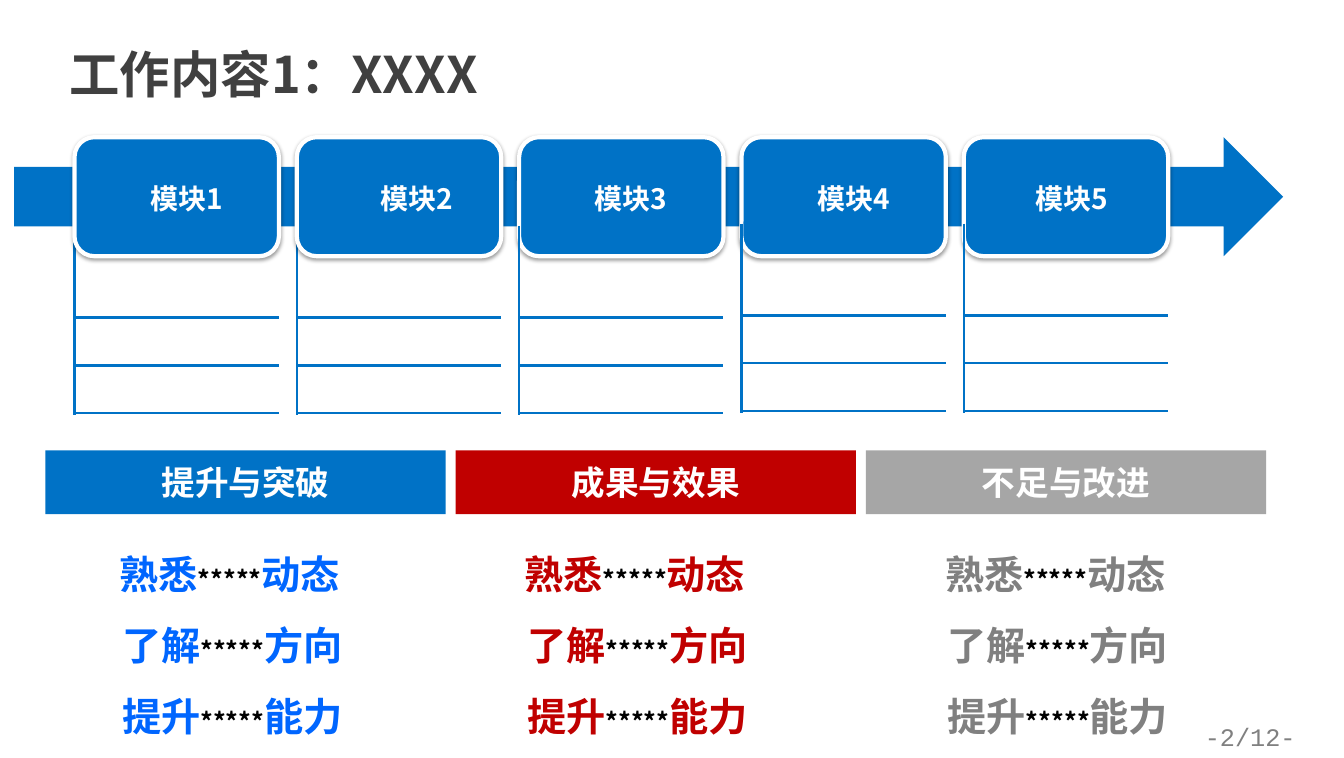
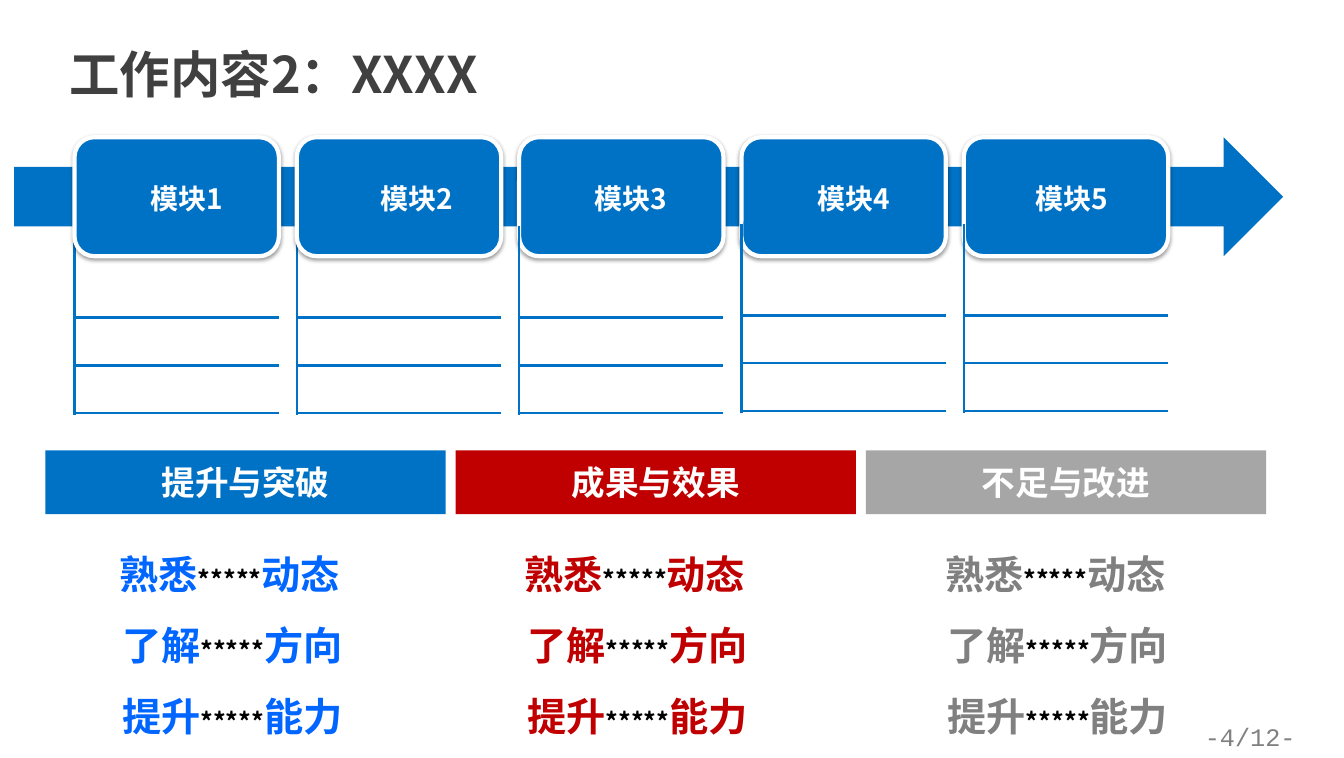
import pptx
import pptx.util
import pptx.dml.color
import pptx.enum.shapes
import pptx.enum.text
import pptx.oxml
import pptx.oxml.ns
import lxml.etree

Pt = pptx.util.Pt
RGB = pptx.dml.color.RGBColor
SHAPE = pptx.enum.shapes.MSO_SHAPE
ALIGN = pptx.enum.text.PP_ALIGN
ANCHOR = pptx.enum.text.MSO_ANCHOR
qn = pptx.oxml.ns.qn

BLUE = RGB(0x00, 0x72, 0xC6)
AZURE = RGB(0x00, 0x66, 0xFF)
RED = RGB(0xC0, 0x00, 0x00)
SILVER = RGB(0xA6, 0xA6, 0xA6)
GREY = RGB(0x80, 0x80, 0x80)
DARK = RGB(0x40, 0x40, 0x40)
BLACK = RGB(0x00, 0x00, 0x00)
WHITE = RGB(0xFF, 0xFF, 0xFF)

HAN = "Noto Sans CJK SC"
LATIN = "Calibri"
MONO = "Courier New"

WIDE, HIGH = 960, 541.44
LEFT, STEP, COL = 53.2, 158.8, 146    # module columns
TOP, TALL = 98, 85                    # module boxes and arrow

# Sideways shift of each module label from the centre of its box
SHIFTS = [7, 12.5, 7, 7, 4]
# Top of the stem in each module column
STEMS = [161.3, 161.3, 161.3, 159.8, 159.8]

# Heading, bar colour, text colour, left edge of the list
THEMES = [
    ("提升与突破", BLUE, AZURE, 72),
    ("成果与效果", RED, RED, 361.4),
    ("不足与改进", SILVER, GREY, 661.7),
]
# First word, last word, indent
POINTS = [("熟悉", "动态", 6.3), ("了解", "方向", 8.1), ("提升", "能力", 8.1)]

SHADOW = (
    '<a:effectLst xmlns:a="http://schemas.openxmlformats.org/drawingml/2006/main">'
    '<a:outerShdw blurRad="39370" dist="20320" dir="5400000" rotWithShape="0">'
    '<a:srgbClr val="000000"><a:alpha val="38000"/></a:srgbClr>'
    '</a:outerShdw></a:effectLst>'
)


def add_run(para, text, size, color, bold=True, font=HAN):
    """Add one run, with the same font for Latin and Chinese letters."""
    run = para.add_run()
    run.text = text
    run.font.size = Pt(size)
    run.font.bold = bold
    run.font.color.rgb = color
    run.font.name = font
    face = lxml.etree.SubElement(run._r.get_or_add_rPr(), qn("a:ea"))
    face.set("typeface", font)


def add_box(slide, left, top, width, height):
    """Add a wrapping text box and return its text frame."""
    box = slide.shapes.add_textbox(Pt(left), Pt(top), Pt(width), Pt(height))
    box.text_frame.word_wrap = True
    return box.text_frame


def add_form(slide, kind, left, top, width, height, color):
    """Add a filled shape with no line and no shadow."""
    form = slide.shapes.add_shape(kind, Pt(left), Pt(top), Pt(width), Pt(height))
    form.shadow.inherit = False
    form.fill.solid()
    form.fill.fore_color.rgb = color
    form.line.fill.background()
    return form


def add_line(slide, x1, y1, x2, y2):
    """Add a thin blue line."""
    line = slide.shapes.add_connector(
        pptx.enum.shapes.MSO_CONNECTOR.STRAIGHT, Pt(x1), Pt(y1), Pt(x2), Pt(y2))
    line.line.color.rgb = BLUE
    line.line.width = Pt(1.75)
    lxml.etree.SubElement(line.element.spPr, qn("a:effectLst"))


def add_title(slide, text):
    """Place and format the title."""
    title = slide.shapes.title
    title.left, title.top, title.width, title.height = (
        Pt(42.5), Pt(27.4), Pt(356.4), Pt(61.2))
    frame = title.text_frame
    frame.word_wrap = True
    frame.auto_size = pptx.enum.text.MSO_AUTO_SIZE.NONE
    frame.vertical_anchor = ANCHOR.TOP
    para = frame.paragraphs[0]
    para.alignment = ALIGN.LEFT
    add_run(para, text, 36, DARK)


def add_page(slide, text):
    """Add the page mark at the lower right."""
    para = add_box(slide, 826, 512, WIDE - 826, 29).paragraphs[0]
    para.alignment = ALIGN.CENTER
    add_run(para, text, 18, GREY, False, MONO)


def add_grid(slide, left, top, width):
    """Add a stem and the three rules that branch from it."""
    add_line(slide, left, top, left, top + 135.4)
    for row in range(3):
        level = top + 65.5 + 34.2 * row
        add_line(slide, left, level, left + width, level)


def add_card(slide, left, top, width, height):
    """Add a rounded module box with white edge and soft shadow."""
    card = add_form(slide, SHAPE.ROUNDED_RECTANGLE, left, top, width, height, BLUE)
    card.line.color.rgb = WHITE
    card.line.width = Pt(3)
    props = card.element.spPr
    props.replace(props.find(qn("a:effectLst")), pptx.oxml.parse_xml(SHADOW))


def add_label(slide, text, mid, top):
    """Add a module label centred on mid."""
    para = add_box(slide, mid - 52, top, 104, 31.7).paragraphs[0]
    para.alignment = ALIGN.CENTER
    add_run(para, text, 20, WHITE)


def add_flow(slide):
    """Add the arrow with its five modules and their grids."""
    lefts = [LEFT + STEP * i for i in range(5)]
    cols = list(zip(lefts, STEMS))
    for left, stem in cols[:2]:
        add_grid(slide, left, stem, COL)
    add_form(slide, SHAPE.RIGHT_ARROW, 10, TOP, 906.5, TALL, BLUE)
    for left in lefts:
        add_card(slide, left, TOP, COL, TALL)
    for num, (left, shift) in enumerate(zip(lefts, SHIFTS), 1):
        add_label(slide, f"模块{num}", left + COL / 2 + shift, TOP + 28)
    for left, stem in cols[2:]:
        add_grid(slide, left, stem, COL)


def add_bar(slide, text, color, left, top, width, height):
    """Add a heading bar."""
    bar = add_form(slide, SHAPE.RECTANGLE, left, top, width, height, color)
    bar.text_frame.vertical_anchor = ANCHOR.MIDDLE
    para = bar.text_frame.paragraphs[0]
    para.alignment = ALIGN.CENTER
    add_run(para, text, 24, WHITE, font=LATIN)


def add_list(slide, color, left, top, width, height):
    """Add the three points below a heading bar."""
    frame = add_box(slide, left, top, width, height)
    for row, (first, last, indent) in enumerate(POINTS):
        para = frame.add_paragraph() if row else frame.paragraphs[0]
        para.line_spacing = 1.5
        para._p.get_or_add_pPr().set("marL", str(int(Pt(indent))))
        add_run(para, first, 28, color)
        add_run(para, "*****", 18, BLACK)
        add_run(para, last, 28, color)


def add_work(deck, num, page):
    """Add one slide on a piece of work."""
    slide = deck.slides.add_slide(deck.slide_layouts[5])
    add_title(slide, f"工作内容{num}：XXXX")
    add_page(slide, f"-{page}/12-")
    add_flow(slide)
    for i, (head, fill, ink, left) in enumerate(THEMES):
        add_bar(slide, head, fill, 32.4 + 293 * i, 321.8, 286, 45.5)
        add_list(slide, ink, left, 373, 265.7, 193)


deck = pptx.Presentation()
deck.slide_width, deck.slide_height = Pt(WIDE), Pt(HIGH)
for num, page in [(1, 2), (2, 4)]:
    add_work(deck, num, page)
deck.save("out.pptx")
